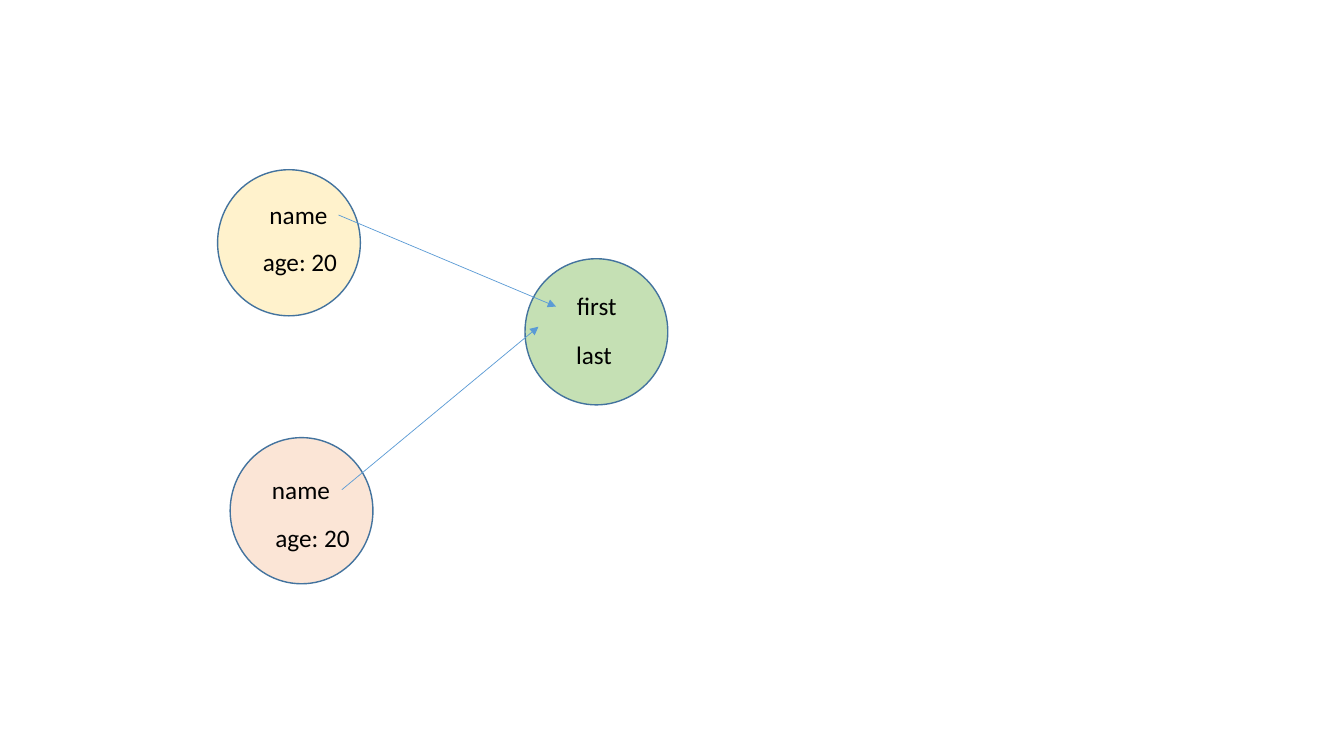
from lxml.etree import SubElement
from pptx import Presentation
from pptx.dml.color import RGBColor
from pptx.enum.shapes import MSO_CONNECTOR, MSO_SHAPE
from pptx.enum.text import MSO_AUTO_SIZE
from pptx.oxml.ns import qn
from pptx.util import Inches, Pt

COLUMNS, ROWS = 160, 90
NODE_SIZE = (17, 17.4)
LABEL_HEIGHT = 4.8

presentation = Presentation()
presentation.slide_width = Inches(13.33)
presentation.slide_height = Inches(7.5)
slide = presentation.slides.add_slide(presentation.slide_layouts[6])


def color(value):
    return RGBColor.from_string(value)


def grid(column, row):
    """Turn grid columns and rows into slide lengths."""
    return (round(presentation.slide_width * column / COLUMNS),
            round(presentation.slide_height * row / ROWS))


def shift(origin, offset):
    return origin[0] + offset[0], origin[1] + offset[1]


def add_text(text, position, width, size=18, font="Calibri", fill="000000"):
    box = slide.shapes.add_textbox(*grid(*position), *grid(width, LABEL_HEIGHT))
    frame = box.text_frame
    frame.word_wrap = False
    frame.auto_size = MSO_AUTO_SIZE.SHAPE_TO_FIT_TEXT
    run = frame.paragraphs[0].add_run()
    run.text = text
    run.font.size = Pt(size)
    run.font.name = font
    run.font.color.rgb = color(fill)


def add_node(origin, fill, labels):
    """Draw a circle with its field labels, placed relative to its corner."""
    circle = slide.shapes.add_shape(MSO_SHAPE.OVAL, *grid(*origin), *grid(*NODE_SIZE))
    circle.shadow.inherit = False
    circle.fill.solid()
    circle.fill.fore_color.rgb = color(fill)
    circle.line.color.rgb = color("43739E")
    circle.line.width = Pt(1)
    for text, offset, width in labels:
        add_text(text, shift(origin, offset), width)


def add_arrow(start, end):
    arrow = slide.shapes.add_connector(MSO_CONNECTOR.STRAIGHT, *grid(*start), *grid(*end))
    arrow.line.color.rgb = color("5B9BD5")
    arrow.line.width = Pt(0.5)
    SubElement(arrow.line._get_or_add_ln(), qn("a:tailEnd"), type="triangle")
    SubElement(arrow._element.spPr, qn("a:effectLst"))


# Corners of the three objects
upper_person, lower_person, full_name = (25.9, 20.2), (27.4, 52.1), (62.5, 30.8)

# Objects and their fields
add_node(upper_person, "FFF2CC", [("name", (5, 2.9), 9.4), ("age: 20", (4.2, 8.5), 11.6)])
add_node(full_name, "C5E0B4", [("first", (5, 3.2), 7.2), ("last", (4.9, 9), 6.7)])
add_node(lower_person, "FBE5D6", [("name", (3.8, 3.8), 9.4), ("age: 20", (4.2, 9.5), 11.6)])

# References from each name field to the shared object
add_arrow(shift(upper_person, (14.4, 5.4)), shift(full_name, (3.7, 5.7)))
add_arrow(shift(lower_person, (13.3, 6.2)), shift(full_name, (1.6, 8.1)))

presentation.save("out.pptx")
